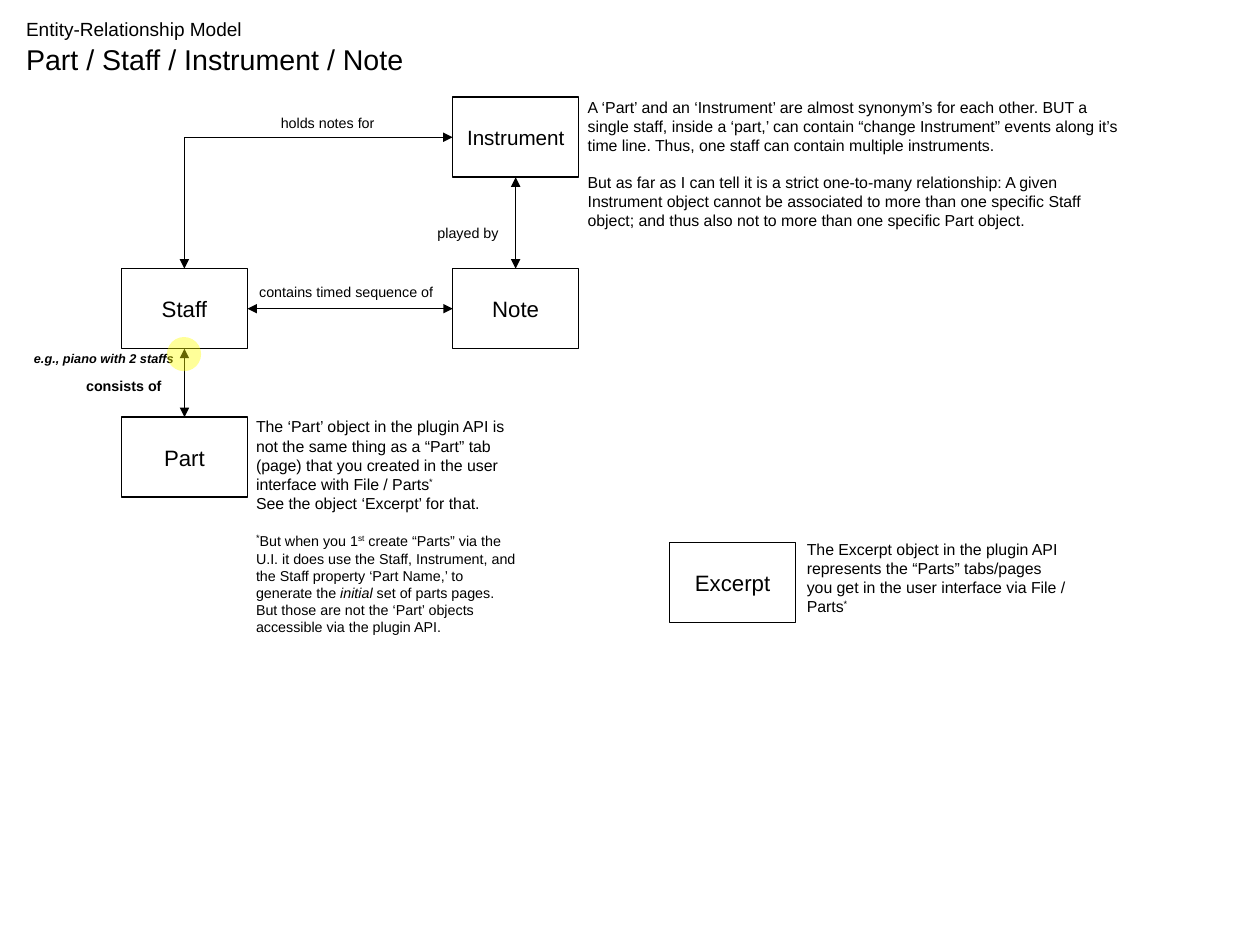
from lxml.etree import SubElement
from pptx import Presentation
from pptx.dml.color import RGBColor
from pptx.enum.shapes import MSO_CONNECTOR, MSO_SHAPE
from pptx.enum.text import MSO_ANCHOR, PP_ALIGN
from pptx.oxml.ns import qn
from pptx.util import Cm, Pt

BLACK = RGBColor(0x00, 0x00, 0x00)
YELLOW = RGBColor(0xFF, 0xFF, 0x00)
SUPERSCRIPT = {"baseline": "33000"}
SMALL = {"size": Pt(9)}
BOX_WIDTH, BOX_HEIGHT = 2.8, 1.78
TOP, LEFT, BOTTOM, RIGHT = range(4)

deck = Presentation()
deck.slide_width, deck.slide_height = Cm(28), Cm(21)
page = deck.slides.add_slide(deck.slide_layouts[6])


def write_spans(para, spans, base):
    """Add (text, format) spans; each format is laid over the base format."""
    for text, extra in spans:
        span = para.add_run()
        span.text = text
        span.font.name = "Arial"
        span.font.color.rgb = BLACK
        for name, value in {**base, **extra}.items():
            if name == "baseline":
                span._r.get_or_add_rPr().set(name, value)
            else:
                setattr(span.font, name, value)


def add_text(left, top, width, height, paragraphs, base, inset=(0, 0), wrap=True,
             align=PP_ALIGN.LEFT):
    """Add a text box of (space before, spans) paragraphs; lengths in cm."""
    box = page.shapes.add_textbox(Cm(left), Cm(top), Cm(width), Cm(height))
    frame = box.text_frame
    frame.word_wrap = wrap
    frame.margin_left = frame.margin_right = Cm(inset[0])
    frame.margin_top = frame.margin_bottom = Cm(inset[1])
    for index, (space, spans) in enumerate(paragraphs):
        para = frame.add_paragraph() if index else frame.paragraphs[0]
        para.alignment = align
        para.space_before = Pt(space)
        write_spans(para, spans, base)


# Entities
entities = {}
for name, left, top, size in [
    ("Part", 2.7, 9.27, 14),
    ("Instrument", 10.06, 2.16, 13),
    ("Staff", 2.7, 5.97, 14),
    ("Note", 10.06, 5.97, 14),
    ("Excerpt", 14.88, 12.06, 14),
]:
    entity = page.shapes.add_shape(
        MSO_SHAPE.RECTANGLE, Cm(left), Cm(top), Cm(BOX_WIDTH), Cm(BOX_HEIGHT))
    entity.shadow.inherit = False
    entity.fill.background()
    entity.line.color.rgb = BLACK
    entity.line.width = Pt(1)
    frame = entity.text_frame
    frame.vertical_anchor = MSO_ANCHOR.MIDDLE
    frame.margin_left = frame.margin_right = Cm(0.28)
    frame.margin_top = frame.margin_bottom = Cm(0.15)
    frame.paragraphs[0].alignment = PP_ALIGN.CENTER
    write_spans(frame.paragraphs[0], [(name, {})], {"size": Pt(size)})
    entities[name] = entity

# Relationships
for start, start_side, end, end_side, kind in [
    ("Note", TOP, "Instrument", BOTTOM, MSO_CONNECTOR.STRAIGHT),
    ("Instrument", LEFT, "Staff", TOP, MSO_CONNECTOR.ELBOW),
    ("Staff", RIGHT, "Note", LEFT, MSO_CONNECTOR.STRAIGHT),
    ("Part", TOP, "Staff", BOTTOM, MSO_CONNECTOR.STRAIGHT),
]:
    link = page.shapes.add_connector(kind, 0, 0, 0, 0)
    link.begin_connect(entities[start], start_side)
    link.end_connect(entities[end], end_side)
    link.line.color.rgb = BLACK
    link.line.width = Pt(0.79)
    properties = link._element.spPr
    if kind == MSO_CONNECTOR.ELBOW:
        properties.find(qn("a:prstGeom")).set("prst", "bentConnector2")
    outline = properties.find(qn("a:ln"))
    for end_tag in ("a:headEnd", "a:tailEnd"):
        SubElement(outline, qn(end_tag), type="triangle")
    SubElement(properties, qn("a:effectLst"))

# Titles and relationship labels
BOLD = {"size": Pt(9), "bold": True}
REMARK = {"size": Pt(8), "bold": True, "italic": True}
for text, left, top, width, height, look, wrap, align in [
    ("Entity-Relationship Model", 0.33, 0.25, 7.87, 0.76, {"size": Pt(12)}, True, PP_ALIGN.LEFT),
    ("Part / Staff / Instrument / Note", 0.33, 0.81, 8.92, 1.02, {"size": Pt(18)}, False,
     PP_ALIGN.LEFT),
    ("contains timed sequence of", 5.51, 6.17, 4.83, 0.64, SMALL, True, PP_ALIGN.LEFT),
    ("played by", 9.3, 4.85, 2.03, 0.64, SMALL, True, PP_ALIGN.RIGHT),
    ("holds notes for", 5.99, 2.41, 2.64, 0.64, SMALL, False, PP_ALIGN.LEFT),
    ("consists of", 1.63, 8.26, 2.21, 0.64, BOLD, False, PP_ALIGN.RIGHT),
    ("e.g., piano with 2 staffs", 0.46, 7.67, 3.66, 0.61, REMARK, False, PP_ALIGN.RIGHT),
]:
    add_text(left, top, width, height, [(0, [(text, {})])], look, (0.25, 0.13), wrap, align)

# Explanations
NOTE = {"size": Pt(10)}
BLANK_LINE = 11.5
add_text(5.69, 9.27, 5.84, 5.05, [
    (0, [("The ‘Part’ object in the plugin API is not the same thing as a “Part” tab (page) "
          "that you created in the user interface with File / Parts", {}),
         ("*", SUPERSCRIPT)]),
    (0, [("See the object ‘Excerpt’ for that.", {})]),
    (BLANK_LINE, [
        ("*", SUPERSCRIPT),
        ("But when you 1", SMALL),
        ("st", {**SMALL, **SUPERSCRIPT}),
        (" create “Parts” via the U.I. it does use the Staff, Instrument, and the Staff "
         "property ‘Part Name,’ to generate the ", SMALL),
        ("initial", {**SMALL, "italic": True}),
        (" set of parts pages. But those are not the ‘Part’ objects accessible via the "
         "plugin API.", SMALL)]),
], NOTE)
add_text(13.06, 2.16, 11.94, 2.77, [
    (0, [("A ‘Part’ and an ‘Instrument’ are almost synonym’s for each other. BUT a single "
          "staff, inside a ‘part,’ can contain “change Instrument” events along it’s time "
          "line. Thus, one staff can contain multiple instruments.", {})]),
    (BLANK_LINE, [
        ("But as far as I can tell it is a strict one-to-many relationship: A given "
         "Instrument object cannot be associated to more than one specific Staff object; "
         "and thus also not to more than one specific Part object.", {})]),
], NOTE)
add_text(17.93, 11.99, 5.84, 1.57, [
    (0, [("The Excerpt object in the plugin API represents the “Parts” tabs/pages you get "
          "in the user interface via File / Parts", {}),
         ("*", SUPERSCRIPT)]),
], NOTE)

# Highlight on the Staff end of "consists of"
highlight = page.shapes.add_shape(MSO_SHAPE.OVAL, Cm(3.71), Cm(7.49), Cm(0.76), Cm(0.76))
highlight.shadow.inherit = False
highlight.line.fill.background()
highlight.fill.solid()
highlight.fill.fore_color.rgb = YELLOW
color = highlight._element.spPr.find(qn("a:solidFill")).find(qn("a:srgbClr"))
SubElement(color, qn("a:alpha"), val="40000")

deck.save("out.pptx")
